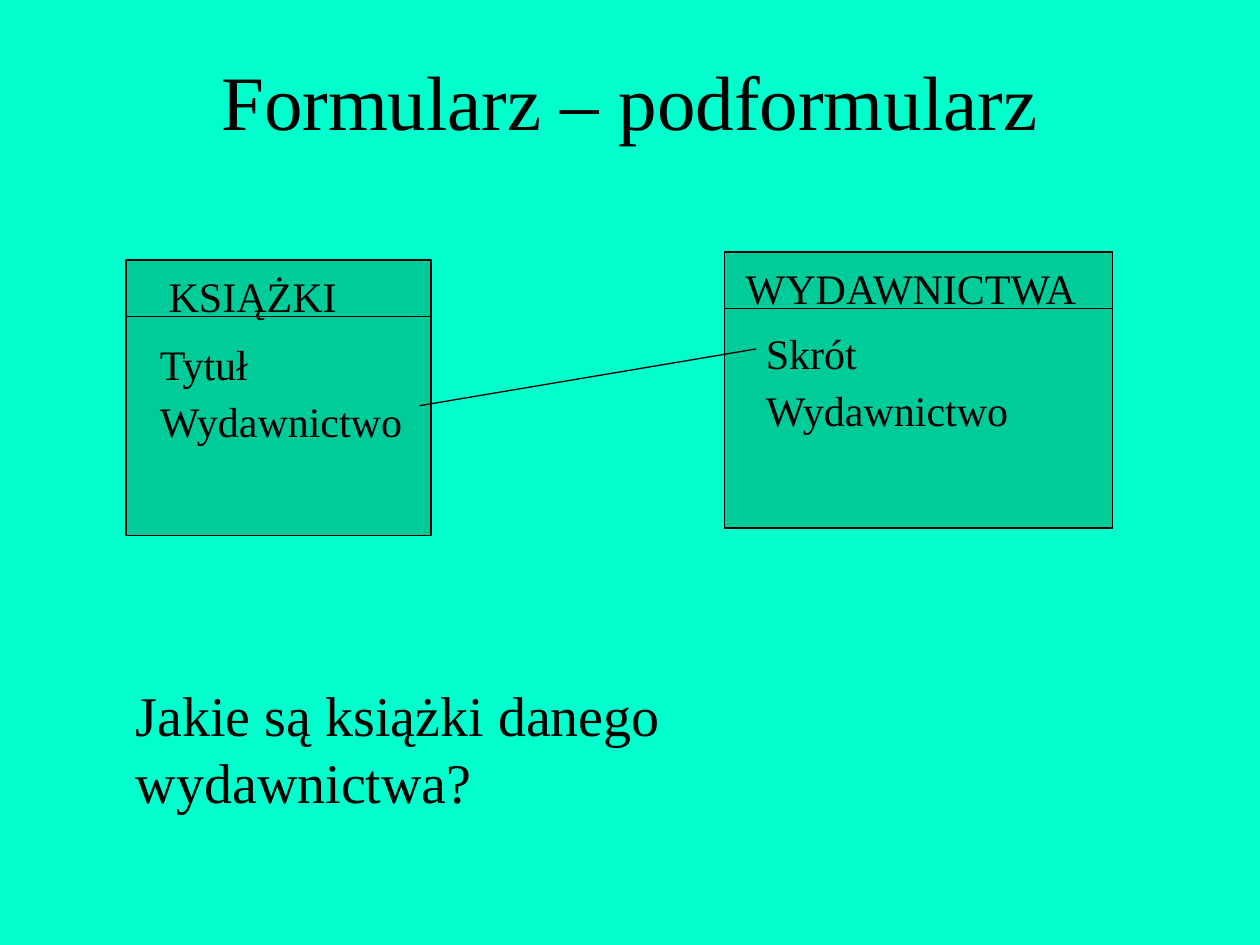
from lxml.etree import SubElement
from pptx import Presentation
from pptx.dml.color import RGBColor
from pptx.enum.shapes import MSO_CONNECTOR, MSO_SHAPE
from pptx.enum.text import MSO_ANCHOR, MSO_AUTO_SIZE, PP_ALIGN
from pptx.oxml.ns import qn
from pptx.util import Inches, Pt

WIDTH, HEIGHT = Inches(10), Inches(7.5)
COLUMN, ROW = WIDTH / 100, HEIGHT / 100
FONT = "Times New Roman"
BACKGROUND, PANEL, INK = "00FFCC", "00CC99", "000000"
HEADER_ROWS, FIELD_ROWS, LABEL_HEIGHT = 6, 6, 6.67


def color(value):
    return RGBColor.from_string(value)


def place(box):
    left, top, width, height = box
    return round(left * COLUMN), round(top * ROW), round(width * COLUMN), round(height * ROW)


def add_run(paragraph, text, size):
    run = paragraph.add_run()
    run.text = text
    run.font.name = FONT
    run.font.size = Pt(size)
    run.font.color.rgb = color(INK)


def add_label(shapes, box, text, size=24):
    label = shapes.add_textbox(*place(box))
    frame = label.text_frame
    frame.word_wrap = False
    frame.auto_size = MSO_AUTO_SIZE.SHAPE_TO_FIT_TEXT
    add_run(frame.paragraphs[0], text, size)


def add_line(shapes, start, end):
    points = place((*start, *end))
    line = shapes.add_connector(MSO_CONNECTOR.STRAIGHT, *points)
    line.line.color.rgb = color(INK)
    line.line.width = Pt(0.75)
    SubElement(line.element.spPr, qn("a:effectLst"))


def add_title(slide, box, text):
    title = slide.shapes.title
    title.left, title.top, title.width, title.height = place(box)
    frame = title.text_frame
    frame.vertical_anchor = MSO_ANCHOR.MIDDLE
    frame.word_wrap = True
    paragraph = frame.paragraphs[0]
    paragraph.alignment = PP_ALIGN.CENTER
    add_run(paragraph, text, 44)


def add_entity(shapes, box, heading, fields, field_indent, first_field):
    left, top, width, height = box
    panel = shapes.add_shape(MSO_SHAPE.RECTANGLE, *place(box))
    panel.shadow.inherit = False
    panel.fill.solid()
    panel.fill.fore_color.rgb = color(PANEL)
    panel.line.color.rgb = color(INK)
    panel.line.width = Pt(0.75)
    divider = top + HEADER_ROWS
    add_line(shapes, (left, divider), (left + width, divider))
    name, indent, label_width = heading
    add_label(shapes, (left + indent, top + 0.45, label_width, LABEL_HEIGHT), name)
    for index, (field, label_width) in enumerate(fields):
        field_top = top + first_field + index * FIELD_ROWS
        add_label(shapes, (left + field_indent, field_top, label_width, LABEL_HEIGHT), field)


def add_relationship(shapes):
    add_entity(shapes, (10, 27.5, 24.2, 29.2), ("KSIĄŻKI", 2.4, 15.3),
               [("Tytuł", 9.2), ("Wydawnictwo", 21.4)], 1.7, 7.7)
    add_entity(shapes, (57.5, 26.67, 30.8, 29.2), ("WYDAWNICTWA", 0.7, 28.8),
               [("Skrót", 9.2), ("Wydawnictwo", 21.4)], 2.3, 7.33)
    add_line(shapes, (33.3, 42.93), (60, 36.93))


def main():
    presentation = Presentation()
    presentation.slide_width, presentation.slide_height = WIDTH, HEIGHT
    slide = presentation.slides.add_slide(presentation.slide_layouts[5])
    slide.background.fill.solid()
    slide.background.fill.fore_color.rgb = color(BACKGROUND)
    add_title(slide, (7.5, 4.4, 85, 12.27), "Formularz – podformularz")
    add_relationship(slide.shapes.add_group_shape().shapes)
    add_label(slide.shapes, (9.8, 71.33, 71.4, 8.53), "Jakie są książki danego wydawnictwa?", 32)
    presentation.save("out.pptx")


if __name__ == "__main__":
    main()
